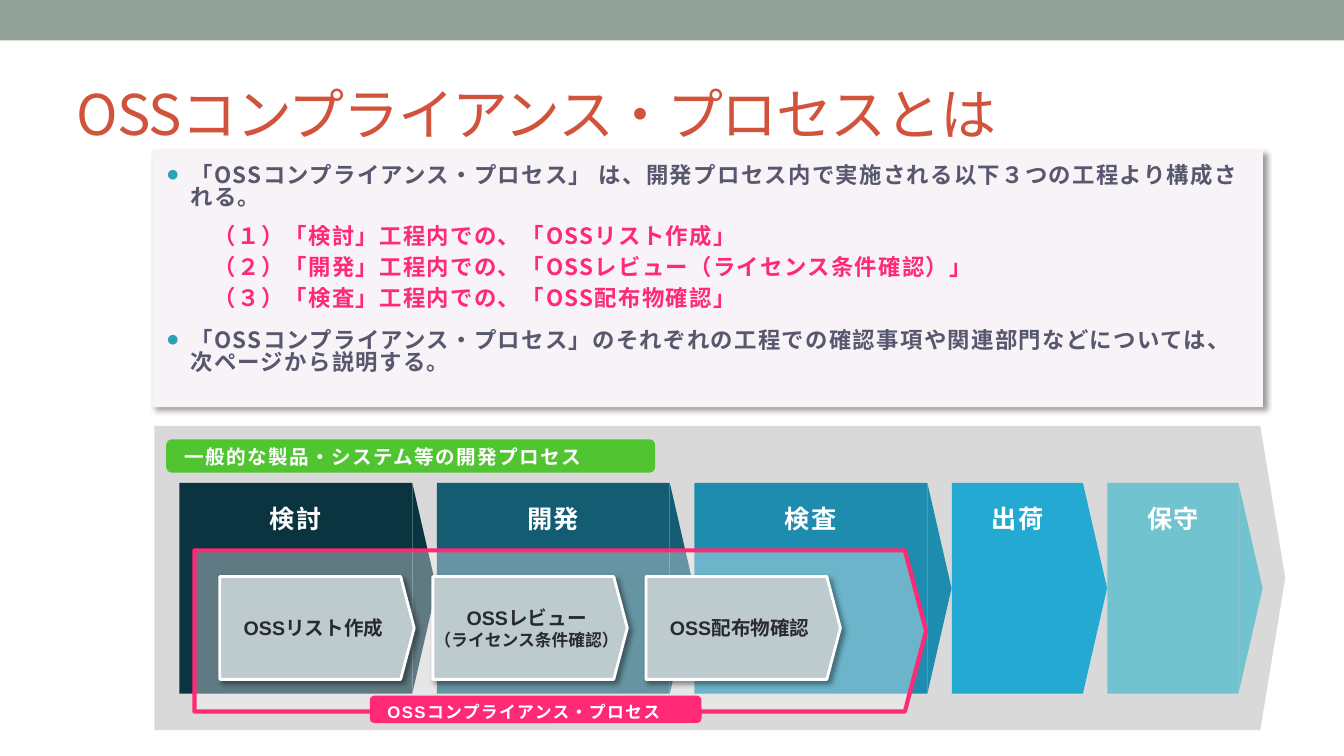
"""Build the slide on the open source compliance process."""
from typing import Any, NamedTuple, Optional

from lxml.etree import SubElement as Sub
from pptx import Presentation as Deck
from pptx.dml.color import RGBColor as Rgb
from pptx.enum.shapes import MSO_SHAPE as Kind
from pptx.enum.text import MSO_ANCHOR as Anchor, PP_ALIGN as Align
from pptx.oxml.ns import qn
from pptx.util import Cm, Pt

HUES = {
    "band": "93A299", "title": "D2533C", "panel": "F7F3F7", "body": "57576E",
    "dot": "29A2B5", "pink": "FF2975", "gray": "D9D9D9", "green": "51C531",
    "white": "FFFFFF", "step": "BDCBCE", "ink": "292934",
    "plan": "0B3441", "make": "145C72", "test": "1E8CAE",
    "ship": "24A9D2", "care": "72C3D0",
}
NOTO = "Noto Sans CJK JP"


class Box(NamedTuple):
    left: float
    top: float
    width: float
    height: float


class Stage(NamedTuple):
    name: str
    hue: str
    width: float


class Note(NamedTuple):
    text: str
    gap: float
    item: bool = False


STAGES = [
    Stage("検討", "plan", 5.87), Stage("開発", "make", 5.87),
    Stage("検査", "test", 5.87), Stage("出荷", "ship", 3.3),
    Stage("保守", "care", 3.3),
]
NOTES = [
    Note("「OSSコンプライアンス・プロセス」 は、開発プロセス内で実施される以下３つの工程より構成される。", 0, True),
    Note("（１）「検討」工程内での、「OSSリスト作成」", 12),
    Note("（２）「開発」工程内での、「OSSレビュー（ライセンス条件確認）」", 6),
    Note("（３）「検査」工程内での、「OSS配布物確認」", 6),
    Note("「OSSコンプライアンス・プロセス」のそれぞれの工程での確認事項や関連部門などについては、次ページから説明する。", 14, True),
]
STEPS = [
    [("OSSリスト作成", 14)],
    [("OSSレビュー", 14), ("（ライセンス条件確認）", 12)],
    [("OSS配布物確認", 14)],
]


def place(box: Box) -> list[Cm]:
    """Turn a box in centimetres into lengths."""
    return [Cm(side) for side in box]


def draw(shapes: Any, kind: Kind, box: Box, fill: str, edge: Optional[str] = None,
         wide: float = 0, adj: Optional[float] = None, clear: int = 100,
         cast: bool = False) -> Any:
    """Draw one filled shape."""
    shape = shapes.add_shape(kind, *place(box))
    shape.shadow.inherit = False
    shape.fill.solid()
    shape.fill.fore_color.rgb = Rgb.from_string(HUES[fill])
    if edge:
        shape.line.color.rgb = Rgb.from_string(HUES[edge])
        shape.line.width = Pt(wide)
    else:
        shape.line.fill.background()
    if adj is not None:
        shape.adjustments[0] = adj
    props = shape._element.spPr
    if clear < 100:
        tint = props.find(qn("a:solidFill")).find(qn("a:srgbClr"))
        Sub(tint, qn("a:alpha"), val=str(clear * 1000))
    if cast:
        shade = Sub(props.find(qn("a:effectLst")), qn("a:outerShdw"),
                    blurRad=str(Pt(4)), dist=str(Pt(3)), dir="2700000",
                    algn="tl", rotWithShape="0")
        tint = Sub(shade, qn("a:srgbClr"), val="000000")
        Sub(tint, qn("a:alpha"), val="40000")
    return shape


def setup(shape: Any, pads: tuple[float, ...] = (0.25, 0.13, 0.25, 0.13),
          anchor: Anchor = Anchor.MIDDLE, wrap: bool = True) -> Any:
    """Set up the text frame of a shape."""
    frame = shape.text_frame
    frame.word_wrap = wrap
    frame.vertical_anchor = anchor
    (frame.margin_left, frame.margin_top,
     frame.margin_right, frame.margin_bottom) = [Cm(pad) for pad in pads]
    return frame


def write(para: Any, text: str, size: float, hue: str, face: str = "Arial",
          bold: bool = True, space: float = 0, align: Align = Align.LEFT) -> None:
    """Write one formatted run into a paragraph."""
    para.alignment = align
    run = para.add_run()
    run.text = text
    font = run.font
    font.size, font.bold, font.name = Pt(size), bold, face
    font.color.rgb = Rgb.from_string(HUES[hue])
    props = run._r.get_or_add_rPr()
    props.set("spc", str(int(space * 100)))
    Sub(props, qn("a:ea"), typeface=face)


def line(frame: Any, row: int) -> Any:
    """Give the paragraph for a row."""
    return frame.add_paragraph() if row else frame.paragraphs[0]


def notes(shapes: Any) -> None:
    """Draw the panel with its points."""
    draw(shapes, Kind.RECTANGLE, Box(3.84, 3.78, 27.99, 6.48), "panel", cast=True)
    text = shapes.add_textbox(*place(Box(3.99, 4.17, 27.97, 6.1)))
    frame = setup(text, (0.2, 0, 0.4, 0), Anchor.TOP)
    for row, note in enumerate(NOTES):
        para = line(frame, row)
        props = para._p.get_or_add_pPr()
        if note.item:
            props.set("marL", str(Cm(0.61)))
            props.set("indent", str(Cm(-0.61)))
            Sub(Sub(props, qn("a:buClr")), qn("a:srgbClr"), val=HUES["dot"])
            Sub(props, qn("a:buFont"), typeface="Arial")
            Sub(props, qn("a:buChar"), char="●")
        else:
            props.set("marL", str(Cm(1.2)))
        para.line_spacing = 0.83
        if note.gap:
            para.space_before = Pt(note.gap)
        write(para, note.text, 16, "body" if note.item else "pink",
              face=NOTO, space=1)


def stages(shapes: Any) -> None:
    """Draw the row of stage arrows."""
    left, top, high, tip = 4.52, 12.17, 5.31, 0.61
    for stage in STAGES:
        group = shapes.add_group_shape().shapes
        body = draw(group, Kind.RECTANGLE, Box(left, top, stage.width, high), stage.hue)
        frame = setup(body, (0, 0.51, 0, 0), Anchor.TOP)
        write(frame.paragraphs[0], stage.name, 18, "white", space=1,
              align=Align.CENTER)
        mid = left + stage.width + tip / 2
        head = Box(mid - high / 2, top + (high - tip) / 2, high, tip)
        draw(group, Kind.ISOSCELES_TRIANGLE, head, stage.hue).rotation = 90
        left += stage.width + 0.62


def steps(shapes: Any) -> None:
    """Draw the compliance steps."""
    for col, rows in enumerate(STEPS):
        box = Box(5.54 + 5.37 * col, 14.53, 4.9, 2.59)
        step = draw(shapes, Kind.PENTAGON, box, "step", edge="white", wide=2,
                    adj=0.132, cast=True)
        frame = setup(step, wrap=False)
        for row, (text, size) in enumerate(rows):
            write(line(frame, row), text, size, "ink", align=Align.CENTER)


def label(shapes: Any, box: Box, fill: str, text: str, size: float, foot: float) -> None:
    """Draw a rounded label."""
    frame = setup(draw(shapes, Kind.ROUNDED_RECTANGLE, box, fill),
                  (0.41, 0.1, 0.41, foot))
    write(frame.paragraphs[0], text, size, "white", space=1)


def main() -> None:
    """Build and save the slide."""
    deck = Deck()
    deck.slide_width, deck.slide_height = Cm(33.87), Cm(19.05)
    shapes = deck.slides.add_slide(deck.slide_layouts[6]).shapes
    draw(shapes, Kind.RECTANGLE, Box(0, 0, 33.87, 1.02), "band")
    title = setup(shapes.add_textbox(*place(Box(1.69, 1.48, 30.48, 2.74))))
    write(title.paragraphs[0], "OSSコンプライアンス・プロセスとは", 40, "title",
          face=NOTO, bold=False, space=-1)
    notes(shapes)
    draw(shapes, Kind.PENTAGON, Box(3.89, 10.73, 28.5, 7.67), "gray", adj=0.082)
    label(shapes, Box(4.19, 11.07, 12.32, 0.84), "green",
          "一般的な製品・システム等の開発プロセス", 14, 0.05)
    stages(shapes)
    draw(shapes, Kind.PENTAGON, Box(4.9, 13.87, 18.44, 4.06), "white",
         edge="pink", wide=3, adj=0.132, clear=35)
    steps(shapes)
    label(shapes, Box(9.32, 17.53, 8.36, 0.69), "pink",
          "OSSコンプライアンス・プロセス", 12, 0)
    deck.save("out.pptx")


if __name__ == "__main__":
    main()
